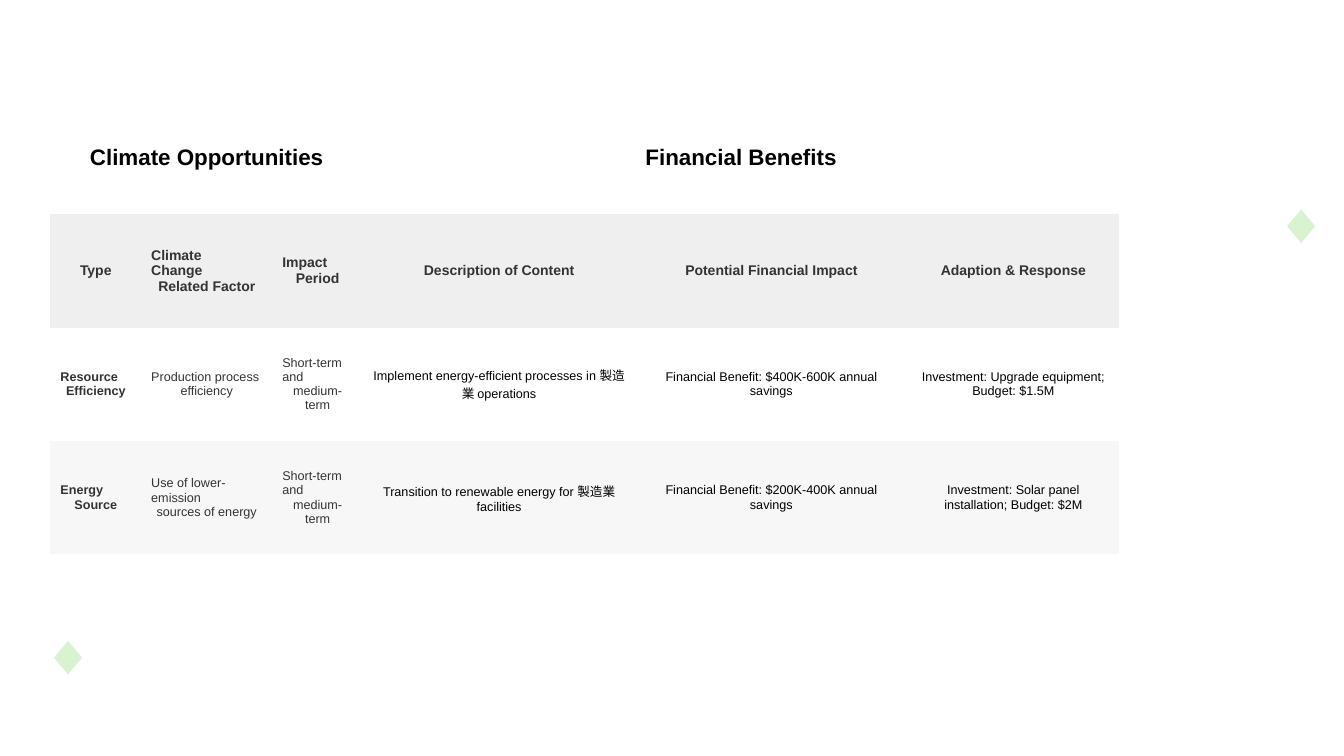
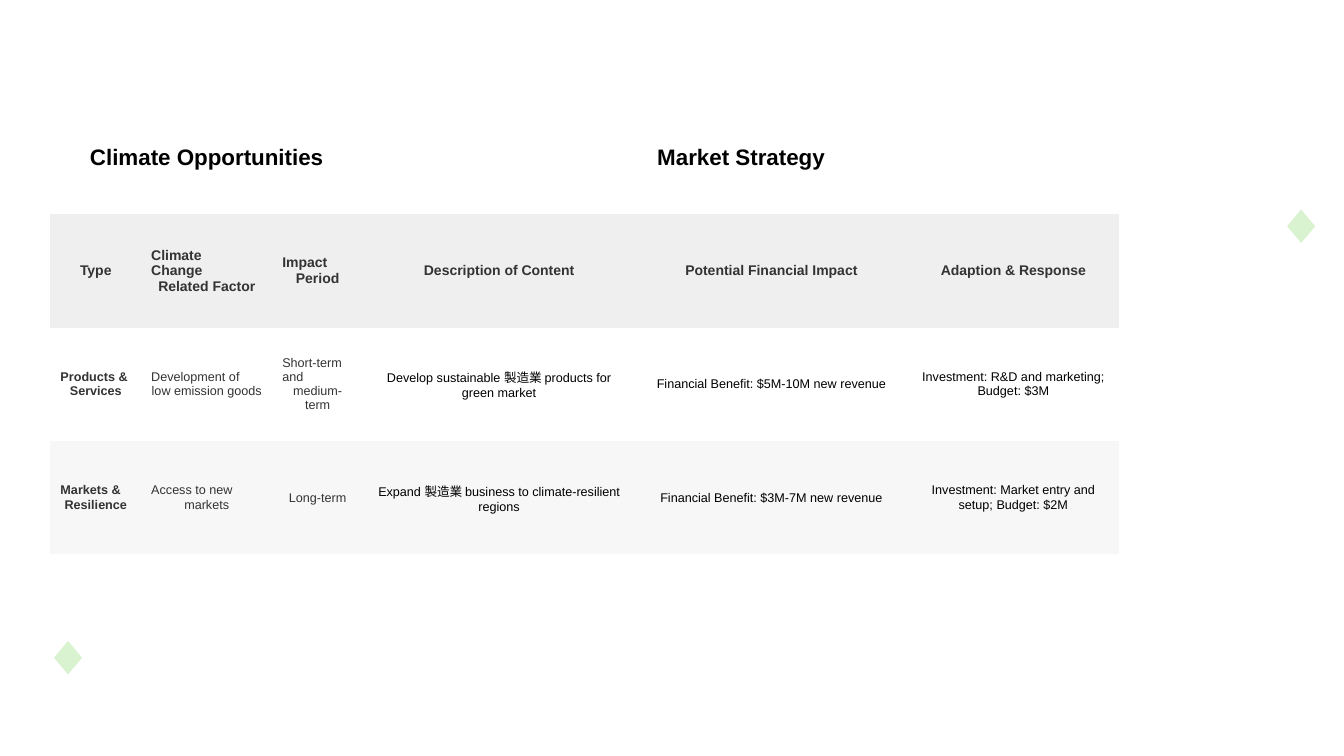
from pptx import Presentation
from pptx.dml.color import RGBColor
from pptx.enum.shapes import MSO_SHAPE
from pptx.enum.text import MSO_ANCHOR, PP_ALIGN
from pptx.oxml.ns import qn
from pptx.util import Inches, Pt
from lxml import etree

ARC, DIAMOND = MSO_SHAPE.ARC, MSO_SHAPE.DIAMOND
CENTER, MIDDLE = PP_ALIGN.CENTER, MSO_ANCHOR.MIDDLE
FONT = "Arial"
COLORS = {
    "black": "000000", "ink": "333333", "white": "FFFFFF",
    "head": "EFEFEF", "band": "F7F7F7", "green": "D9F2D0",
}
NO_STYLE = "{2D5ABB26-0587-4C30-8999-92F81FD0307C}"
WIDTHS = [0.9, 1.3, 0.9, 2.7, 2.7, 2.1]
ROW_FILLS = ["white", "head", "white", "band"]
HEADS = [
    "Type", "Climate\nChange\nRelated Factor", "Impact\nPeriod",
    "Description of Content", "Potential Financial Impact",
    "Adaption & Response",
]
BOTH_TERMS = "Short-term\nand\nmedium-term"
SLIDES = [
    ("Financial Benefits", [
        ["Resource\nEfficiency", "Production process\nefficiency", BOTH_TERMS,
         "Implement energy-efficient processes in 製造業 operations",
         "Financial Benefit: $400K-600K annual savings",
         "Investment: Upgrade equipment; Budget: $1.5M"],
        ["Energy\nSource", "Use of lower-emission\nsources of energy",
         BOTH_TERMS,
         "Transition to renewable energy for 製造業 facilities",
         "Financial Benefit: $200K-400K annual savings",
         "Investment: Solar panel installation; Budget: $2M"],
    ]),
    ("Market Strategy", [
        ["Products &\nServices", "Development of\nlow emission goods",
         BOTH_TERMS,
         "Develop sustainable 製造業 products for green market",
         "Financial Benefit: $5M-10M new revenue",
         "Investment: R&D and marketing; Budget: $3M"],
        ["Markets &\nResilience", "Access to new\nmarkets", "Long-term",
         "Expand 製造業 business to climate-resilient regions",
         "Financial Benefit: $3M-7M new revenue",
         "Investment: Market entry and setup; Budget: $2M"],
    ]),
]


def color(name):
    return RGBColor.from_string(COLORS[name])


def add_shape(slide, kind, box, line, weight):
    shape = slide.shapes.add_shape(kind, *map(Inches, box))
    shape.shadow.inherit = False
    shape.line.color.rgb = color(line)
    shape.line.width = Pt(weight)
    return shape


def add_arc(slide):
    arc = add_shape(slide, ARC, (10.9, -3.38, 4, 4.97), "green", 46.25)
    arc.rotation = 151.3
    arc.fill.background()
    for i, angle in enumerate((152.05, 215.37)):
        arc.adjustments[i] = angle * 0.6  # 60000 units a degree, over 100000
    tint = next(arc.line._ln.iter(qn("a:srgbClr")))
    etree.SubElement(tint, qn("a:alpha"), val="60000")
    return arc


def add_gem(slide, left, top):
    gem = add_shape(slide, DIAMOND, (left, top, 0.31, 0.37), "white", 1.5)
    gem.fill.solid()
    gem.fill.fore_color.rgb = color("green")
    return gem


def add_decor(master, slide):
    """Draw the ornaments on a slide, then move them to the master."""
    decor = [add_arc(slide), add_gem(slide, 12.75, 2.06),
             add_gem(slide, 0.52, 6.34)]
    for number, shape in enumerate(decor, 21):
        shape._element.nvSpPr.cNvPr.id = number
        master.shapes._spTree.append(shape._element)


def set_cell(cell, text, size, ink, bold):
    """Write one run, in which line feeds stay plain characters."""
    cell.vertical_anchor = MIDDLE
    line = cell.text_frame.paragraphs[0]
    line.alignment = CENTER
    run = line.add_run()
    run.text = text
    font = run.font
    font.name, font.size, font.bold = FONT, Pt(size), bold
    font.color.rgb = color(ink)


def get_style(row, col):
    """Give size, ink and weight of the text at a place in the table."""
    if row == 0:
        return 16, "black", True
    if row == 1:
        return 10, "ink", True
    return 9, "ink" if col < 3 else "black", col == 0


def add_table(slide, topic, body):
    titles = ["Climate Opportunities", None, None, topic, None, None]
    rows = [titles, HEADS, *body]
    frame = slide.shapes.add_table(
        len(rows), len(WIDTHS), Inches(0.5), Inches(1),
        Inches(sum(WIDTHS)), Inches(4.5))
    table = frame.table
    table.first_row = table.horz_banding = False
    table._tbl.tblPr.find(qn("a:tableStyleId")).text = NO_STYLE
    for col, width in zip(table.columns, WIDTHS):
        col.width = Inches(width)
    for r, texts in enumerate(rows):
        for c, text in enumerate(texts):
            cell = table.cell(r, c)
            cell.fill.solid()
            cell.fill.fore_color.rgb = color(ROW_FILLS[r])
            if text:
                set_cell(cell, text, *get_style(r, c))
    for start in (0, 3):
        table.cell(0, start).merge(table.cell(0, start + 2))


def main():
    prs = Presentation()
    prs.slide_width, prs.slide_height = Inches(13.33), Inches(7.5)
    blank = prs.slide_layouts[6]
    for topic, body in SLIDES:
        add_table(prs.slides.add_slide(blank), topic, body)
    add_decor(prs.slide_master, prs.slides[0])
    prs.save("out.pptx")


if __name__ == "__main__":
    main()
